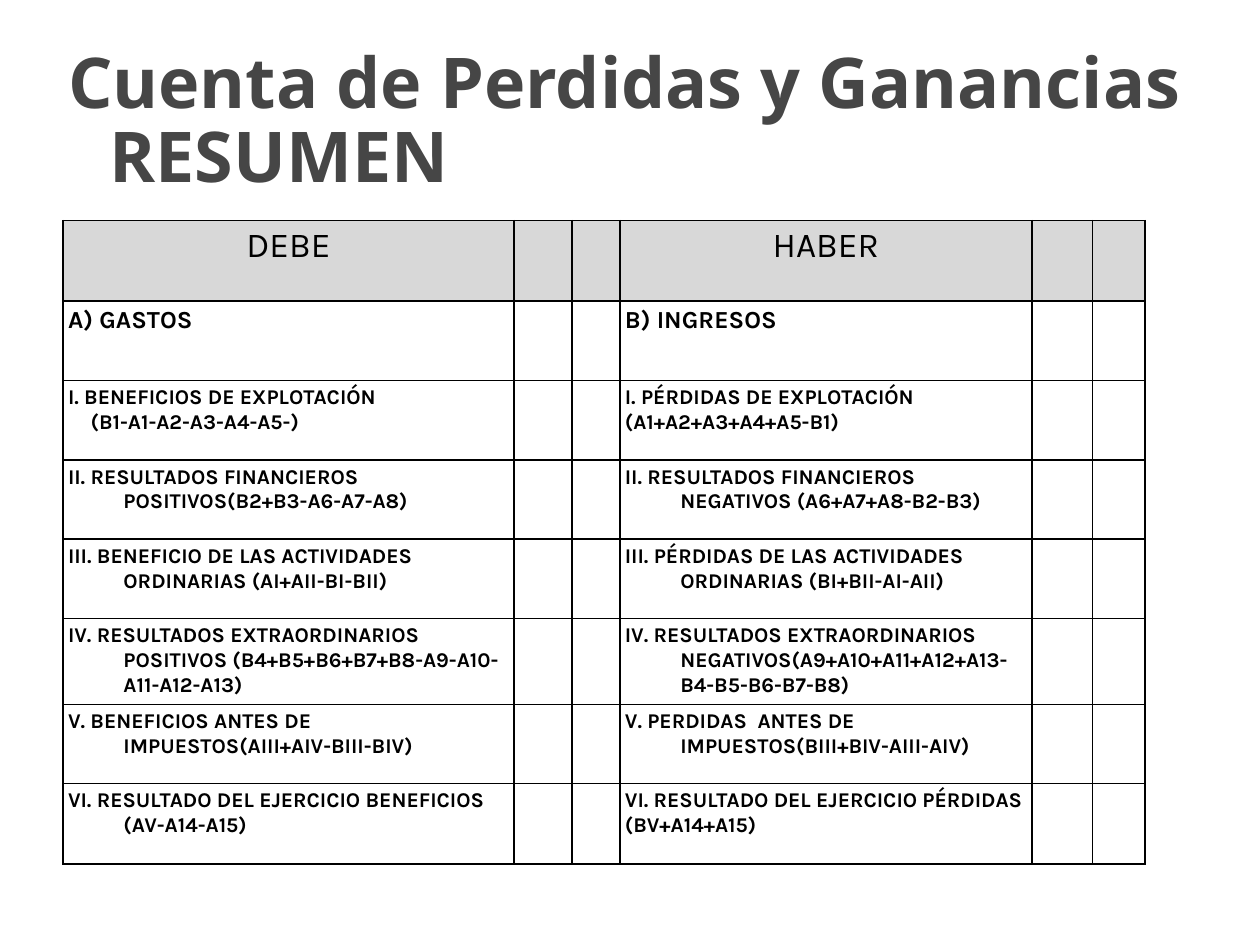
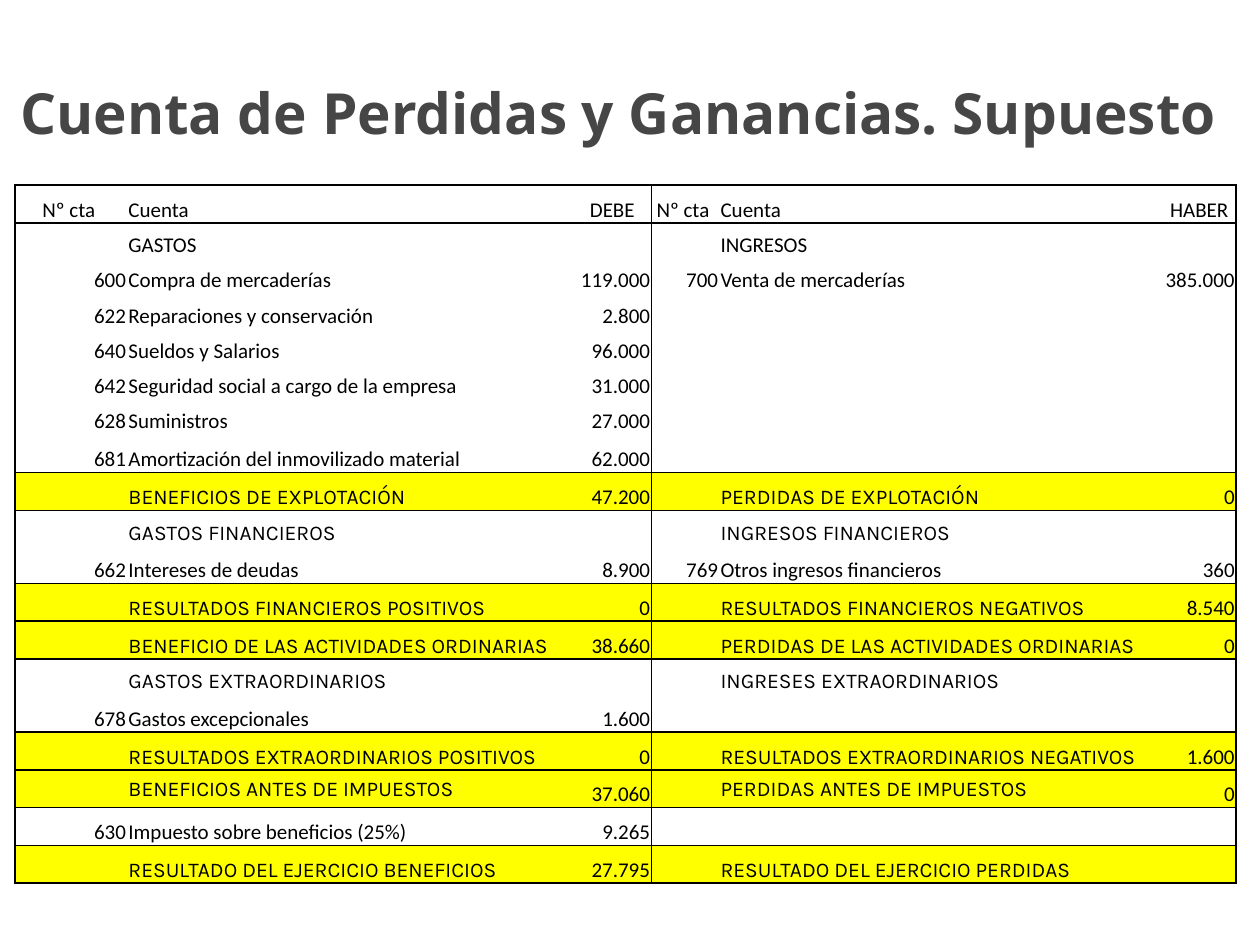
import pptx
import pptx.util
import pptx.dml.color
import pptx.enum.text
import pptx.oxml.ns
from lxml import etree

INK = {"text": "000000", "title": "464646", "head": "D8D8D8", "total": "FFFF00"}
FONT = {"title": "Noto Sans", "body": "Karla", "list": "Calibri"}
ALIGN = pptx.enum.text.PP_ALIGN
ANCHOR = pptx.enum.text.MSO_ANCHOR
WIDE, HIGH = 10, 7.5

# Summary: each row pairs a debit cell with a credit cell; a list holds paragraphs
SUM_COLS = [3.58, 0.46, 0.38, 3.27, 0.48, 0.42]
SUM_ROWS = [
    ("DEBE", "HABER"),
    ("A) GASTOS", "B) INGRESOS"),
    (["I. BENEFICIOS DE EXPLOTACIÓN", "(B1-A1-A2-A3-A4-A5-)"],
     ["I. PÉRDIDAS DE EXPLOTACIÓN", "(A1+A2+A3+A4+A5-B1)"]),
    ("II. RESULTADOS FINANCIEROS POSITIVOS(B2+B3-A6-A7-A8)",
     "II. RESULTADOS FINANCIEROS NEGATIVOS (A6+A7+A8-B2-B3)"),
    ("III. BENEFICIO DE LAS ACTIVIDADES ORDINARIAS (AI+AII-BI-BII)",
     "III. PÉRDIDAS DE LAS ACTIVIDADES ORDINARIAS (BI+BII-AI-AII)"),
    ("IV. RESULTADOS EXTRAORDINARIOS POSITIVOS (B4+B5+B6+B7+B8-A9-A10-A11-A12-A13)",
     "IV. RESULTADOS EXTRAORDINARIOS NEGATIVOS(A9+A10+A11+A12+A13-B4-B5-B6-B7-B8)"),
    ("V. BENEFICIOS ANTES DE IMPUESTOS(AIII+AIV-BIII-BIV)",
     "V. PERDIDAS  ANTES DE IMPUESTOS(BIII+BIV-AIII-AIV)"),
    ("VI. RESULTADO DEL EJERCICIO BENEFICIOS (AV-A14-A15)",
     "VI. RESULTADO DEL EJERCICIO PÉRDIDAS (BV+A14+A15)"),
]

# Worked case: kind of row, then number, account and amount for each side
CASE_COLS = [0.89, 3.54, 0.62, 0.54, 3.48, 0.62]
NONE = ("", "", "")
CASE_ROWS = [
    ("head", ("Nº cta ", "Cuenta", "DEBE"), ("Nº cta ", "Cuenta", " HABER")),
    ("item", ("", "GASTOS", ""), ("", "INGRESOS", "")),
    ("item", ("600", "Compra de mercaderías", "119.000"),
     ("700", "Venta de mercaderías", "385.000")),
    ("item", ("622", "Reparaciones y conservación", "2.800"), NONE),
    ("item", ("640", "Sueldos y Salarios", "96.000"), NONE),
    ("item", ("642", "Seguridad social a cargo de la empresa", "31.000"), NONE),
    ("item", ("628", "Suministros", "27.000"), NONE),
    ("item", ("681", "Amortización del inmovilizado material", "62.000"), NONE),
    ("total", ("", "BENEFICIOS DE EXPLOTACIÓN", "47.200"),
     ("", "PERDIDAS DE EXPLOTACIÓN", "0")),
    ("group", ("", "GASTOS FINANCIEROS", ""), ("", "INGRESOS FINANCIEROS", "")),
    ("item", ("662", "Intereses de deudas", "8.900"),
     ("769", "Otros ingresos financieros", "360")),
    ("total", ("", "RESULTADOS FINANCIEROS POSITIVOS", "0"),
     ("", "RESULTADOS FINANCIEROS NEGATIVOS", "8.540")),
    ("total", ("", "BENEFICIO DE LAS ACTIVIDADES ORDINARIAS", "38.660"),
     ("", "PERDIDAS DE LAS ACTIVIDADES ORDINARIAS", "0")),
    ("group", ("", "GASTOS EXTRAORDINARIOS", ""), ("", "INGRESES EXTRAORDINARIOS", "")),
    ("item", ("678", "Gastos excepcionales", "1.600"), NONE),
    ("total", ("", "RESULTADOS EXTRAORDINARIOS POSITIVOS", "0"),
     ("", "RESULTADOS EXTRAORDINARIOS NEGATIVOS", "1.600")),
    ("raised", ("", "BENEFICIOS ANTES DE IMPUESTOS", "37.060"),
     ("", "PERDIDAS ANTES DE IMPUESTOS", "0")),
    ("item", ("630", "Impuesto sobre beneficios (25%)", "9.265"), NONE),
    ("total", ("", "RESULTADO DEL EJERCICIO BENEFICIOS", "27.795"),
     ("", "RESULTADO DEL EJERCICIO PERDIDAS", "")),
]
TOTALS = ("total", "raised")


def inch(size):
    return pptx.util.Inches(size)


def paint(hue):
    return pptx.dml.color.RGBColor.from_string(INK[hue])


def style(par, face, size, hue="text", bold=False):
    for run in par.runs:
        font = run.font
        font.name, font.size, font.bold = face, pptx.util.Pt(size), bold
        font.color.rgb = paint(hue)
    if not par.runs:
        end = etree.SubElement(par._p, pptx.oxml.ns.qn("a:endParaRPr"))
        end.set("sz", str(size * 100))


def hang(par, left, first):
    props = par._p.get_or_add_pPr()
    props.set("marL", str(inch(left)))
    props.set("indent", str(inch(first)))


def pad(part, left, top, right, base):
    part.margin_left, part.margin_top = inch(left), inch(top)
    part.margin_right, part.margin_bottom = inch(right), inch(base)


def add_title(slide, text, box, size):
    frame = slide.shapes.add_textbox(*map(inch, box)).text_frame
    frame.word_wrap = True
    frame.vertical_anchor = ANCHOR.MIDDLE
    pad(frame, 0.04, 0.04, 0.04, 0.04)
    frame.text = text
    style(frame.paragraphs[0], FONT["title"], size, "title", True)
    return frame.paragraphs[0]


def add_grid(slide, left, top, cols, rows):
    shape = slide.shapes.add_table(len(rows), len(cols), inch(left), inch(top),
                                   inch(sum(cols)), inch(sum(rows)))
    grid = shape.table
    grid.first_row = grid.horz_banding = False
    for col, width in zip(grid.columns, cols):
        col.width = inch(width)
    for row, height in zip(grid.rows, rows):
        row.height = inch(height)
    return grid


def dress(cell, hue, sides):
    """Fill the cell and rule the named sides (letters of LRTB)."""
    if hue:
        cell.fill.solid()
        cell.fill.fore_color.rgb = paint(hue)
    else:
        cell.fill.background()
    props = cell._tc.get_or_add_tcPr()
    qn = pptx.oxml.ns.qn
    for spot, side in enumerate("LRTB"):
        line = etree.Element(qn("a:ln" + side), w=str(pptx.util.Pt(1)))
        if side in sides:
            solid = etree.SubElement(line, qn("a:solidFill"))
            etree.SubElement(solid, qn("a:srgbClr"), val=INK["text"])
        else:
            etree.SubElement(line, qn("a:noFill"))
        props.insert(spot, line)


def draw_sum(slide):
    title = add_title(slide, "Cuenta de Perdidas y Ganancias RESUMEN",
                      (0.5, 0.15, WIDE - 1, 1.65), 40)
    title.line_spacing = 0.88
    hang(title, 0.33, -0.33)
    tall = [0.64] + [0.63] * (len(SUM_ROWS) - 2) + [0.64]
    grid = add_grid(slide, 0.5, 1.75, SUM_COLS, tall)
    sizes = [20, 14] + [12] * (len(SUM_ROWS) - 2)
    for y, (debit, credit) in enumerate(SUM_ROWS):
        for x, entry in enumerate([debit, "", "", credit, "", ""]):
            cell = grid.cell(y, x)
            pad(cell, 0.04, 0.04, 0.04, 0.04)
            dress(cell, "head" if y == 0 else None, "LRTB")
            cell.text = entry if isinstance(entry, str) else "\n".join(entry)
            for par in cell.text_frame.paragraphs:
                style(par, FONT["body"], sizes[y], bold=y > 0)
                if y == 0:
                    par.alignment = ALIGN.CENTER
                elif par.text.startswith("(B1"):
                    hang(par, 0.18, 0)
                elif entry != SUM_ROWS[-1][1]:
                    hang(par, 0.44, -0.44)


def draw_case(slide):
    add_title(slide, "Cuenta de Perdidas y Ganancias. Supuesto",
              (0.12, 0.3, 9.69, 1.17), 32.4)
    kinds = [row[0] for row in CASE_ROWS]
    # A line runs under the heading, under each total and just above it
    ruled = [kind == "head" or kind in TOTALS or after in TOTALS
             for kind, after in zip(kinds, kinds[1:] + [""])]
    grid = add_grid(slide, 0.12, 1.47, CASE_COLS,
                    [0.3 if rule else 0.28 for rule in ruled])
    for y, (kind, debit, credit) in enumerate(CASE_ROWS):
        for x, text in enumerate(debit + credit):
            cell, part = grid.cell(y, x), x % 3
            name = part == 1
            pad(cell, 0.01, 0.01, 0.01, 0)
            cell.vertical_anchor = (ANCHOR.MIDDLE if kind == "raised" and name
                                    else ANCHOR.BOTTOM)
            sides = ("L", "", "R")[part]
            sides += "T" if y == 0 or ruled[y - 1] else ""
            sides += "B" if ruled[y] else ""
            dress(cell, "total" if kind in TOTALS else None, sides)
            cell.text = text
            par = cell.text_frame.paragraphs[0]
            caps = name and kind in TOTALS + ("group",)
            style(par, FONT["body" if caps else "list"], 12)
            if not name:
                par.alignment = ALIGN.CENTER if kind == "head" else ALIGN.RIGHT


def main():
    deck = pptx.Presentation()
    deck.slide_width, deck.slide_height = inch(WIDE), inch(HIGH)
    for draw in (draw_sum, draw_case):
        draw(deck.slides.add_slide(deck.slide_layouts[6]))
    deck.save("out.pptx")


if __name__ == "__main__":
    main()
